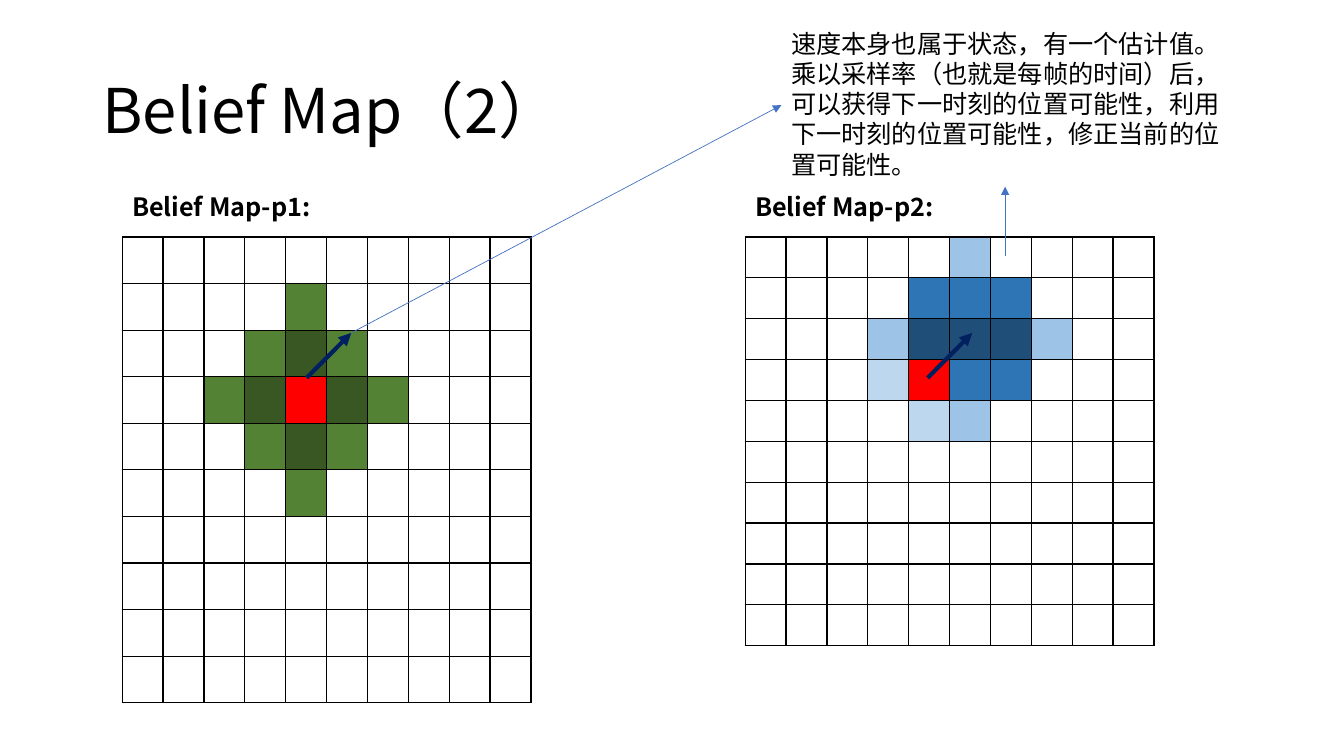
from lxml.etree import SubElement
from pptx import Presentation
from pptx.dml.color import RGBColor
from pptx.enum.dml import MSO_LINE
from pptx.enum.shapes import MSO_CONNECTOR
from pptx.enum.text import MSO_ANCHOR, MSO_AUTO_SIZE, PP_ALIGN
from pptx.oxml.ns import qn
from pptx.util import Cm, Pt

FONT = "Noto Sans CJK SC"
COLORS = {
    "text": "000000",
    "grid": "000000",
    "vector": "002060",
    "callout": "4472C4",
    "red": "FF0000",
    "green": "548235",
    "dark green": "385723",
    "pale blue": "BDD7EE",
    "light blue": "9DC3E6",
    "blue": "2E75B6",
    "dark blue": "1F4E79",
}

# One letter per coloured cell, a dot for an empty one
CELL_COLORS = {
    "R": "red", "g": "green", "G": "dark green",
    "p": "pale blue", "l": "light blue", "b": "blue", "B": "dark blue",
}
GRID_SIZE = 10
CELL_SIDE = 1.03
GRID_TOP = 5.97
LABEL_TOP = 4.7

BELIEF_P1 = [
    "..........",
    "....g.....",
    "...gGg....",
    "..gGRGg...",
    "...gGg....",
    "....g.....",
]
BELIEF_P2 = [
    ".....l....",
    "....bbb...",
    "...lBBBl..",
    "...pRbb...",
    "....pl....",
]
NOTE = (
    "速度本身也属于状态，有一个估计值。乘以采样率（也就是每帧的时间）后，"
    "可以获得下一时刻的位置可能性，利用下一时刻的位置可能性，修正当前的位置可能性。"
)


def color(name):
    return RGBColor.from_string(COLORS[name])


class BeliefSlide:
    """Holds the slide and its style."""

    def __init__(self, presentation):
        self.slide = presentation.slides.add_slide(presentation.slide_layouts[5])

    def style_text(self, text_frame, size, bold=False):
        for paragraph in text_frame.paragraphs:
            paragraph.alignment = PP_ALIGN.LEFT
            for run in paragraph.runs:
                run.font.name = FONT
                run.font.size = Pt(size)
                run.font.bold = bold
                run.font.color.rgb = color("text")
                east_asian = SubElement(run.font._element, qn("a:ea"))
                east_asian.set("typeface", FONT)

    def title(self, text, left, top, width, height):
        shape = self.slide.shapes.title
        shape.left, shape.top = Cm(left), Cm(top)
        shape.width, shape.height = Cm(width), Cm(height)
        text_frame = shape.text_frame
        text_frame.text = text
        text_frame.vertical_anchor = MSO_ANCHOR.MIDDLE
        text_frame.auto_size = MSO_AUTO_SIZE.NONE
        text_frame.paragraphs[0].line_spacing = 0.9
        self.style_text(text_frame, 44)

    def text(self, text, left, top, width, height, bold=False):
        shape = self.slide.shapes.add_textbox(Cm(left), Cm(top), Cm(width), Cm(height))
        text_frame = shape.text_frame
        text_frame.word_wrap = True
        text_frame.auto_size = MSO_AUTO_SIZE.SHAPE_TO_FIT_TEXT
        text_frame.text = text
        self.style_text(text_frame, 18, bold)

    def grid(self, pattern, left, cell_font_size):
        side = Cm(CELL_SIDE * GRID_SIZE)
        frame = self.slide.shapes.add_table(
            GRID_SIZE, GRID_SIZE, Cm(left), Cm(GRID_TOP), side, side)
        table = frame.table
        table.first_row = table.horz_banding = False
        for line in (*table.rows, *table.columns):
            if line in table.rows:
                line.height = Cm(CELL_SIDE)
            else:
                line.width = Cm(CELL_SIDE)
        for index, cell in enumerate(table.iter_cells()):
            row, column = divmod(index, GRID_SIZE)
            self.cell_border(cell)
            self.empty_cell_font(cell, cell_font_size)
            letter = pattern[row][column] if row < len(pattern) else "."
            if letter in CELL_COLORS:
                cell.fill.solid()
                cell.fill.fore_color.rgb = color(CELL_COLORS[letter])
            else:
                cell.fill.background()

    def cell_border(self, cell):
        properties = cell._tc.get_or_add_tcPr()
        for side in ("a:lnL", "a:lnR", "a:lnT", "a:lnB"):
            border = SubElement(properties, qn(side), w=str(Pt(1)))
            fill = SubElement(border, qn("a:solidFill"))
            SubElement(fill, qn("a:srgbClr"), val=COLORS["grid"])

    def empty_cell_font(self, cell, size):
        # The font of an empty cell sets the least height of its row
        paragraph = cell.text_frame.paragraphs[0]
        end = SubElement(paragraph._p, qn("a:endParaRPr"), sz=str(size * 100))
        for script in ("a:latin", "a:ea"):
            SubElement(end, qn(script), typeface=FONT)

    def arrow(self, start, end, color_name, width):
        connector = self.slide.shapes.add_connector(
            MSO_CONNECTOR.STRAIGHT, *map(Cm, start), *map(Cm, end))
        connector.line.color.rgb = color(color_name)
        connector.line.width = Pt(width)
        connector.line.dash_style = MSO_LINE.SOLID
        SubElement(connector.line._get_or_add_ln(), qn("a:tailEnd"), type="triangle")
        SubElement(connector._element.spPr, qn("a:effectLst"))


def main():
    presentation = Presentation()
    presentation.slide_width, presentation.slide_height = Cm(33.87), Cm(19.05)
    belief = BeliefSlide(presentation)
    belief.title("Belief Map（2）", 2.33, 1.01, 29.21, 3.68)

    # First map, its velocity and the link to the note
    belief.grid(BELIEF_P1, 3.08, 18)
    belief.text("Belief Map-p1:", 3.08, LABEL_TOP, 6.15, 1.03, bold=True)
    belief.arrow((7.73, 9.52), (8.85, 8.39), "vector", 3)
    belief.arrow((8.85, 8.39), (19.69, 2.65), "callout", 0.5)
    belief.text(NOTE, 19.69, 0.58, 11.3, 4.11)

    # Second map, its velocity and the link to the note
    belief.grid(BELIEF_P2, 18.78, 12)
    belief.text("Belief Map-p2:", 18.78, LABEL_TOP, 6.15, 1.03, bold=True)
    belief.arrow((23.38, 9.52), (24.5, 8.39), "vector", 3)
    belief.arrow((25.33, 6.45), (25.33, 4.7), "callout", 0.5)

    presentation.save("out.pptx")


if __name__ == "__main__":
    main()
